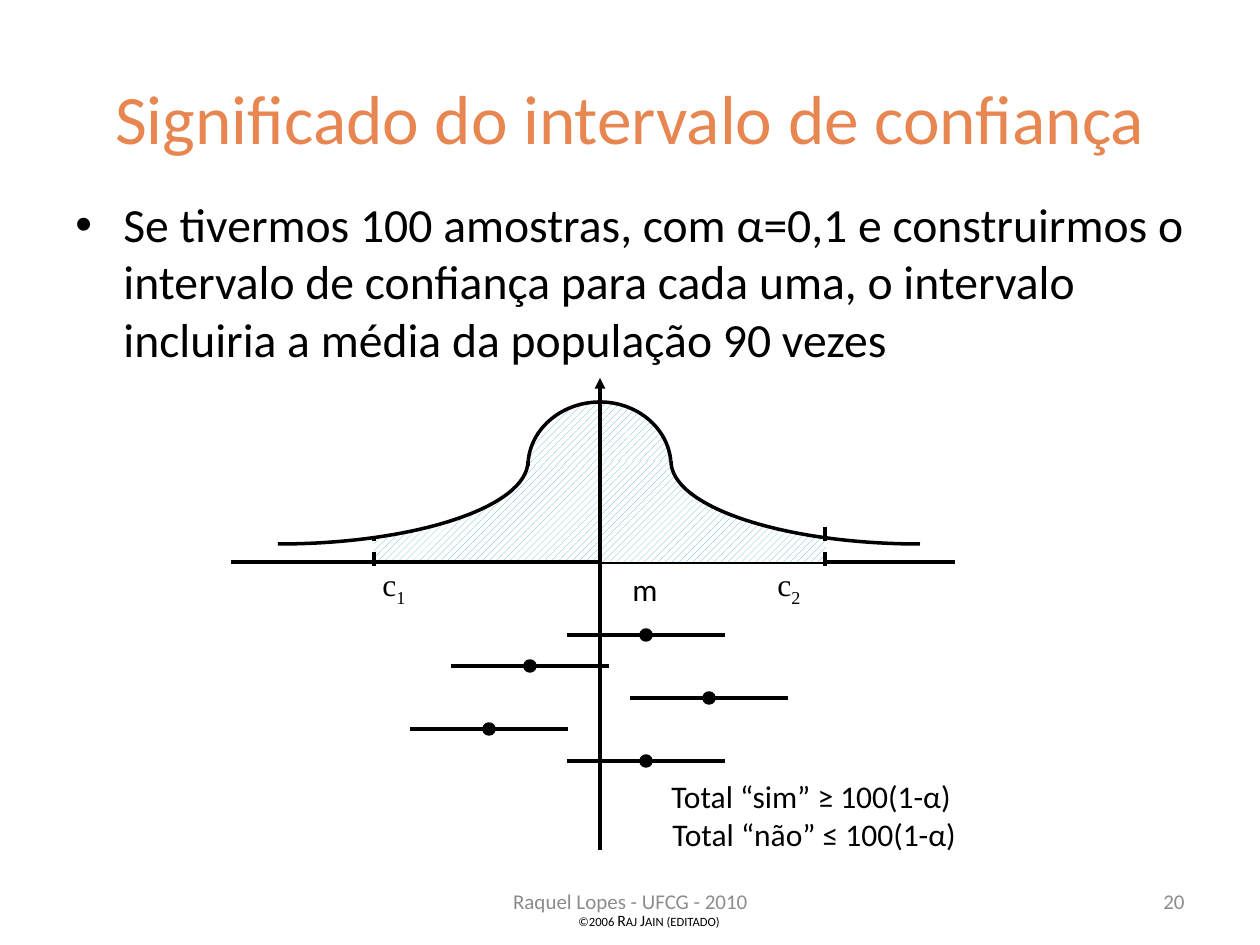
"""Build a slide on the meaning of a confidence interval."""
from copy import deepcopy
from lxml import etree
from pptx import Presentation
from pptx.dml.color import RGBColor
from pptx.enum.dml import MSO_LINE, MSO_PATTERN
from pptx.enum.shapes import MSO_CONNECTOR, MSO_SHAPE
from pptx.enum.text import MSO_ANCHOR, MSO_AUTO_SIZE, PP_ALIGN
from pptx.oxml.ns import qn
from pptx.util import Emu, Pt

LEFT, CENTER, RIGHT = PP_ALIGN.LEFT, PP_ALIGN.CENTER, PP_ALIGN.RIGHT
TOP, MIDDLE = MSO_ANCHOR.TOP, MSO_ANCHOR.MIDDLE
GROW, DASH = MSO_AUTO_SIZE.SHAPE_TO_FIT_TEXT, MSO_LINE.DASH
HATCH = MSO_PATTERN.WIDE_UPWARD_DIAGONAL
STRAIGHT, RECT, OVAL = MSO_CONNECTOR.STRAIGHT, MSO_SHAPE.RECTANGLE, MSO_SHAPE.OVAL
PX = 914400 / 126
ROUND = 0.55

THEME = {
    "sans": "Calibri", "serif": "Times New Roman",
    "ink": RGBColor.from_string("000000"), "paper": RGBColor.from_string("FFFFFF"),
    "title": RGBColor.from_string("E88651"), "foot": RGBColor.from_string("8C8C8C"),
    "hatch": RGBColor.from_string("60B5CC"),
    "head": 39.6, "body": 27.2, "label": 18, "small": 12, "tiny": 9, "line": 2,
}

deck = Presentation()
deck.slide_width, deck.slide_height = Emu(round(1260 * PX)), Emu(round(945 * PX))
slide = deck.slides.add_slide(deck.slide_layouts[6])
shapes = slide.shapes


def write(box, words, size, color="ink", face="sans", align=LEFT, anchor=TOP, wrap=True):
    area = shapes.add_textbox(*[Emu(round(n * PX)) for n in box])
    frame = area.text_frame
    frame.word_wrap = wrap
    frame.vertical_anchor = anchor
    if not wrap:
        frame.auto_size = GROW
    para = frame.paragraphs[0]
    para.alignment = align
    for word in words:
        run = para.add_run()
        run.text = word
        run.font.name = THEME[face]
        run.font.size = Pt(THEME[size])
        run.font.color.rgb = THEME[color]
    return para


def rule(x1, y1, x2, y2):
    line = shapes.add_connector(STRAIGHT, *[Emu(round(n * PX)) for n in (x1, y1, x2, y2)])
    line.line.color.rgb = THEME["ink"]
    line.line.width = Pt(THEME["line"])
    etree.SubElement(line._element.spPr, qn("a:effectLst"))
    return line


write((63, 38, 1134, 157), ["Significado do intervalo de confiança"],
      "head", "title", align=CENTER, anchor=MIDDLE)
para = write((63, 189, 1144, 189), [
    "Se tivermos 100 amostras, com α=0,1 e construirmos o intervalo de confiança "
    "para cada uma, o intervalo incluiria a média da população 90 vezes"], "body")
para.space_before = Pt(2)
props = para._p.get_or_add_pPr()
props.set("marL", str(round(48 * PX)))
props.set("indent", str(round(-48 * PX)))
etree.SubElement(props, qn("a:buFont")).set("typeface", "Arial")
etree.SubElement(props, qn("a:buChar")).set("char", "•")

write((431, 876, 399, 50), ["Raquel Lopes - UFCG - 2010"], "small", "foot",
      align=CENTER, anchor=MIDDLE)
write((903, 876, 294, 50), ["20"], "small", "foot", align=RIGHT, anchor=MIDDLE)
para = write((566, 895, 399, 50), ["©2006 Raj Jain (editado)"], "tiny", anchor=MIDDLE)
para.runs[0]._r.get_or_add_rPr().set("cap", "small")

hill = [((600, 402), (528, 466), (600, 466)), ((600, 402), (671, 466), (600, 466))]
tails = [((920, 544), (671, 461), (920, 461)), ((278, 544), (528, 461), (278, 461))]
sides = [(374, hill, "c", "1", 370), (600, tails, "c", "2", 765)]
for left, curves, name, index, spot in sides:
    band = shapes.add_shape(RECT, *[Emu(round(n * PX)) for n in (left, 461, 226, 101)])
    band.shadow.inherit = False
    band.line.fill.background()
    fills = [band.fill]
    if curves is hill:
        rule(231, 562, 955, 562)
    for curve in curves:
        start, end, hub = [[round(n * PX) for n in point] for point in curve]
        pen = shapes.build_freeform(*start)
        pen.add_line_segments([end, hub], close=True)
        arc = pen.convert_to_shape()
        arc.shadow.inherit = False
        arc.line.color.rgb = THEME["ink"]
        arc.line.width = Pt(THEME["line"])
        area = arc._element.spPr.find(".//" + qn("a:path"))
        bend = etree.Element(qn("a:cubicBezTo"))
        for near, far in ((start, end), (end, start)):
            point = etree.SubElement(bend, qn("a:pt"))
            for axis, base, key in ((0, arc.left, "x"), (1, arc.top, "y")):
                point.set(key, str(round(near[axis] + ROUND * (far[axis] - hub[axis]) - base)))
        bend.append(deepcopy(area[1][0]))
        area.replace(area[1], bend)
        edge = deepcopy(area)
        for part in edge[2:]:
            edge.remove(part)
        area.set("stroke", "0")
        edge.set("fill", "none")
        area.addnext(edge)
        if curves is hill:
            fills.append(arc.fill)
        else:
            arc.fill.solid()
            arc.fill.fore_color.rgb = THEME["paper"]
    for fill in fills:
        fill.patterned()
        fill.pattern = HATCH
        fill.fore_color.rgb = THEME["hatch"]
        fill.back_color.rgb = THEME["paper"]
    mark = 374 if curves is hill else 825
    rule(mark, 527, mark, 573).line.dash_style = DASH
    para = write((spot, 559, 58, 63), [name, index], "label", face="serif", wrap=False)
    para.runs[1]._r.get_or_add_rPr().set("baseline", "-25000")

write((620, 564, 49, 63), ["m"], "label", wrap=False)
stem = rule(600, 850, 600, 378)
tip = etree.SubElement(stem.line._get_or_add_ln(), qn("a:tailEnd"))
tip.set("type", "triangle")

for row, left in enumerate((567, 451, 630, 410, 567)):
    level = 635 + row * 63 // 2
    rule(left, level, left + 158, level)
    dot = shapes.add_shape(OVAL, *[Emu(round(n * PX)) for n in (left + 74, level - 5, 10, 10)])
    dot.shadow.inherit = False
    dot.fill.solid()
    dot.fill.fore_color.rgb = THEME["ink"]
    dot.line.color.rgb = THEME["ink"]
    dot.line.width = Pt(THEME["line"])

write((659, 771, 320, 50), ["Total “sim” ≥ 100(1-α)"], "label", wrap=False)
write((660, 809, 314, 50), ["Total “não” ≤ 100(1-α)"], "label", wrap=False)

deck.save("out.pptx")
